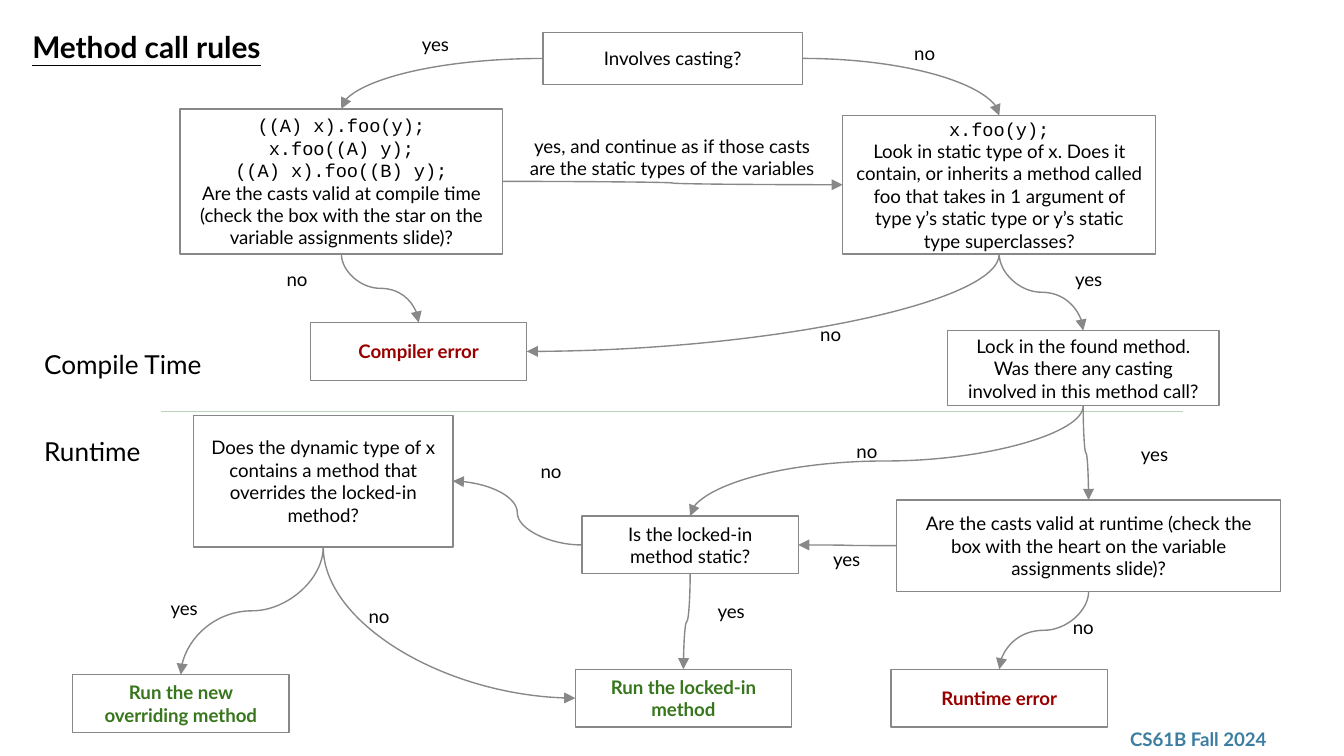
from dataclasses import dataclass

import pptx
import pptx.dml.color
import pptx.enum.shapes
import pptx.enum.text
import pptx.oxml
import pptx.oxml.ns
import pptx.util
from pptx.util import Inches

Color = pptx.dml.color.RGBColor.from_string
Align = pptx.enum.text.PP_ALIGN
Anchor = pptx.enum.text.MSO_ANCHOR
Fit = pptx.enum.text.MSO_AUTO_SIZE
TOP, LEFT, BOTTOM, RIGHT = range(4)


@dataclass(frozen=True)
class Theme:
    font: str = "Lato"
    code_font: str = "Courier New"
    ink: str = "000000"
    paper: str = "FFFFFF"
    outline: str = "888888"
    divider: str = "B9D3B6"
    error: str = "980000"
    success: str = "38761D"
    footer: str = "3B7EA1"
    body: float = 10
    phase: float = 14
    title: float = 16
    line: float = 0.75
    inset: float = 0.1


THEME = Theme()


@dataclass(frozen=True)
class Box:
    left: float
    top: float
    width: float
    height: float
    text: str
    code: tuple[str, ...] = ()
    color: str = THEME.ink
    bold: bool = False

    def site(self, side: int) -> tuple[float, float]:
        """Middle of one side of the box."""
        x, y = self.left + self.width / 2, self.top + self.height / 2
        return {TOP: (x, self.top), LEFT: (self.left, y),
                BOTTOM: (x, self.top + self.height), RIGHT: (self.left + self.width, y)}[side]


@dataclass(frozen=True)
class Arrow:
    start: str
    start_side: int
    end: str
    end_side: int


@dataclass(frozen=True)
class Label:
    left: float
    top: float
    text: str
    width: float = 0.98
    height: float = 0.37
    size: float = THEME.body
    align: Align = Align.CENTER
    color: str = THEME.ink
    bold: bool = False
    anchor: Anchor = Anchor.TOP
    fit: Fit = Fit.SHAPE_TO_FIT_TEXT


BOXES = {
    "casting": Box(4.04, 0.24, 1.93, 0.39, "Involves casting?"),
    "compile casts": Box(
        1.34, 0.81, 2.4, 1.08,
        "Are the casts valid at compile time (check the box with the star on the variable assignments slide)?",
        ("((A) x).foo(y);", "x.foo((A) y);", "((A) x).foo((B) y);")),
    "lookup": Box(
        6.27, 0.86, 2.33, 1.03,
        "Look in static type of x. Does it contain, or inherits a method called foo that takes in "
        "1 argument of type y’s static type or y’s static type superclasses?",
        ("x.foo(y);",)),
    "lock in": Box(7.05, 2.46, 2.02, 0.56,
                   "Lock in the found method. Was there any casting involved in this method call?"),
    "runtime casts": Box(
        6.67, 3.72, 2.86, 0.68,
        "Are the casts valid at runtime (check the box with the heart on the variable assignments slide)?"),
    "override": Box(1.44, 3.09, 1.93, 0.98,
                    "Does the dynamic type of x contains a method that overrides the locked-in method?"),
    "compiler error": Box(2.31, 2.4, 1.61, 0.43, "Compiler error", (), THEME.error, True),
    "runtime error": Box(6.63, 4.98, 1.61, 0.43, "Runtime error", (), THEME.error, True),
    "static": Box(4.33, 3.84, 1.61, 0.43, "Is the locked-in method static?"),
    "run locked": Box(4.28, 4.98, 1.61, 0.43, "Run the locked-in method", (), THEME.success, True),
    "run override": Box(0.54, 5.02, 1.61, 0.43, "Run the new overriding method", (), THEME.success, True),
}

ARROWS = [
    Arrow("casting", LEFT, "compile casts", TOP),
    Arrow("casting", RIGHT, "lookup", TOP),
    Arrow("lookup", BOTTOM, "compiler error", RIGHT),
    Arrow("lookup", BOTTOM, "lock in", TOP),
    Arrow("compile casts", RIGHT, "lookup", LEFT),
    Arrow("compile casts", BOTTOM, "compiler error", TOP),
    Arrow("lock in", BOTTOM, "runtime casts", TOP),
    Arrow("lock in", BOTTOM, "static", TOP),
    Arrow("static", BOTTOM, "run locked", TOP),
    Arrow("runtime casts", BOTTOM, "runtime error", TOP),
    Arrow("runtime casts", LEFT, "static", RIGHT),
    Arrow("static", LEFT, "override", RIGHT),
    Arrow("override", BOTTOM, "run locked", LEFT),
    Arrow("override", BOTTOM, "run override", TOP),
]

YES_SPOTS = [(2.75, 0.16), (7.61, 1.91), (8.1, 3.21), (5.81, 3.99), (0.88, 4.36), (4.95, 4.38)]
NO_SPOTS = [(5.96, 3.19), (6.39, 0.23), (3.61, 3.34), (5.69, 2.32), (7.57, 4.5), (2.33, 4.42), (1.72, 1.91)]
LABELS = [
    *(Label(left, top, "yes") for left, top in YES_SPOTS),
    *(Label(left, top, "no") for left, top in NO_SPOTS),
    Label(3.8, 0.9, "yes, and continue as if those casts are the static types of the variables", 2.4, 0.54),
    Label(0.23, 2.49, "Compile Time", 1.44, 0.47, THEME.phase, Align.LEFT, fit=Fit.NONE),
    Label(0.23, 3.14, "Runtime", 0.98, 0.47, THEME.phase, Align.LEFT, fit=Fit.NONE),
]
FOOTER = Label(8.31, 5.37, "CS61B Fall 2024", 1.35, 0.26, THEME.body, Align.LEFT,
               THEME.footer, True, Anchor.MIDDLE, Fit.NONE)


def prepare_frame(frame, anchor: Anchor, fit: Fit = Fit.NONE) -> None:
    frame.word_wrap = True
    frame.auto_size = fit
    frame.vertical_anchor = anchor
    frame.margin_left = frame.margin_right = Inches(THEME.inset)
    frame.margin_top = frame.margin_bottom = Inches(THEME.inset)


def add_span(para, text: str, size: float, color: str, bold: bool = False, font: str = THEME.font):
    span = para.add_run()
    span.text = text
    span.font.name = font
    span.font.size = pptx.util.Pt(size)
    span.font.bold = bold
    span.font.color.rgb = Color(color)
    return span


def draw_box(page, box: Box):
    shape = page.shapes.add_shape(
        pptx.enum.shapes.MSO_SHAPE.RECTANGLE,
        Inches(box.left), Inches(box.top), Inches(box.width), Inches(box.height))
    shape.shadow.inherit = False
    shape.fill.solid()
    shape.fill.fore_color.rgb = Color(THEME.paper)
    shape.line.color.rgb = Color(THEME.outline)
    shape.line.width = pptx.util.Pt(THEME.line)
    frame = shape.text_frame
    prepare_frame(frame, Anchor.MIDDLE)
    rows = [(code, THEME.code_font) for code in box.code] + [(box.text, THEME.font)]
    for index, (text, font) in enumerate(rows):
        para = frame.add_paragraph() if index else frame.paragraphs[0]
        para.alignment = Align.CENTER
        add_span(para, text, THEME.body, box.color, box.bold, font)
    return shape


def draw_label(page, label: Label) -> None:
    shape = page.shapes.add_textbox(
        Inches(label.left), Inches(label.top), Inches(label.width), Inches(label.height))
    prepare_frame(shape.text_frame, label.anchor, label.fit)
    para = shape.text_frame.paragraphs[0]
    para.alignment = label.align
    add_span(para, label.text, label.size, label.color, label.bold)


def add_line(page, kind, start: tuple[float, float], end: tuple[float, float], color: str):
    line = page.shapes.add_connector(kind, *(Inches(value) for value in (*start, *end)))
    line.line.color.rgb = Color(color)
    line.line.width = pptx.util.Pt(THEME.line)
    line._element.spPr.append(pptx.oxml.parse_xml(f"<a:effectLst {pptx.oxml.ns.nsdecls('a')}/>"))
    return line


def draw_arrow(page, arrow: Arrow, shapes: dict) -> None:
    start = BOXES[arrow.start].site(arrow.start_side)
    end = BOXES[arrow.end].site(arrow.end_side)
    line = add_line(page, pptx.enum.shapes.MSO_CONNECTOR.CURVE, start, end, THEME.outline)
    line.begin_connect(shapes[arrow.start], arrow.start_side)
    line.end_connect(shapes[arrow.end], arrow.end_side)
    properties = line._element.spPr
    properties.find(pptx.oxml.ns.qn("a:ln")).append(
        pptx.oxml.parse_xml(f'<a:tailEnd {pptx.oxml.ns.nsdecls("a")} type="triangle"/>'))
    # Sides on different axes need a single bend
    if arrow.start_side % 2 != arrow.end_side % 2:
        properties.find(pptx.oxml.ns.qn("a:prstGeom")).set("prst", "curvedConnector2")
    # A curve that leaves downwards is a sideways curve turned by 90 degrees
    if arrow.start_side == BOTTOM:
        across, down = end[0] - start[0], end[1] - start[1]
        line.left = Inches((start[0] + end[0] - down) / 2)
        line.top = Inches((start[1] + end[1] - abs(across)) / 2)
        line.width, line.height = Inches(down), Inches(abs(across))
        for name, value in (("rot", "5400000"), ("flipH", "0"), ("flipV", str(int(across > 0)))):
            properties.xfrm.set(name, value)


def draw_title(page, text: str) -> None:
    title = page.shapes.title
    title.left, title.top = Inches(0.14), Inches(0.11)
    title.width, title.height = Inches(2.07), Inches(0.47)
    prepare_frame(title.text_frame, Anchor.TOP, Fit.SHAPE_TO_FIT_TEXT)
    para = title.text_frame.paragraphs[0]
    para.alignment = Align.LEFT
    add_span(para, text, THEME.title, THEME.ink, True).font.underline = True


def main() -> None:
    deck = pptx.Presentation()
    # Widescreen, 16 to 9
    deck.slide_width, deck.slide_height = Inches(10), Inches(10 * 9 / 16)
    page = deck.slides.add_slide(deck.slide_layouts[5])
    draw_title(page, "Method call rules")
    # Footer and the divider between compile time and runtime
    draw_label(page, FOOTER)
    add_line(page, pptx.enum.shapes.MSO_CONNECTOR.STRAIGHT, (1.2, 3.06), (8.8, 3.06), THEME.divider)
    # Flowchart
    shapes = {name: draw_box(page, box) for name, box in BOXES.items()}
    for arrow in ARROWS:
        draw_arrow(page, arrow, shapes)
    for label in LABELS:
        draw_label(page, label)
    deck.save("out.pptx")


if __name__ == "__main__":
    main()
